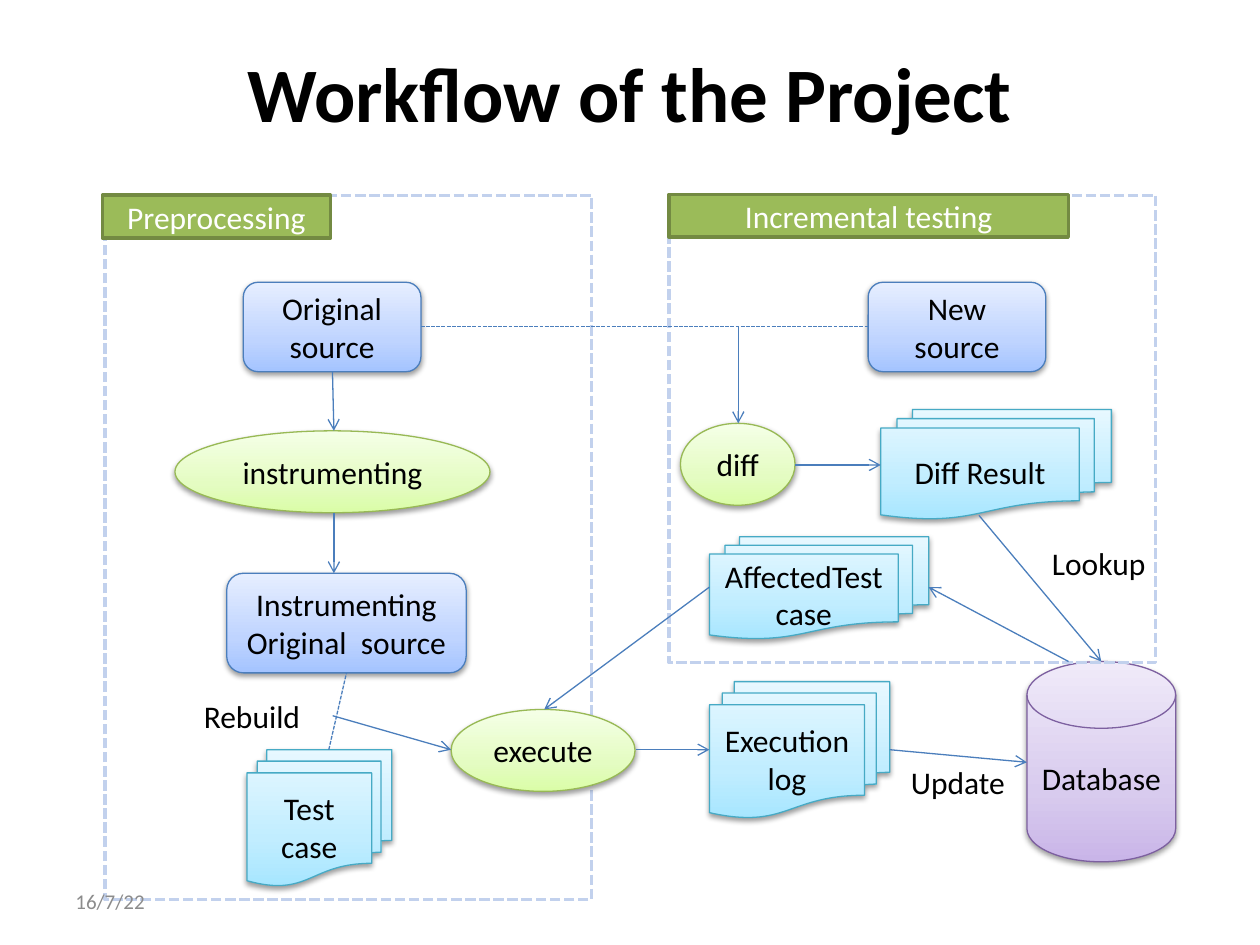
from copy import deepcopy

from lxml.etree import SubElement
from pptx import Presentation
from pptx.dml.color import RGBColor
from pptx.enum.dml import MSO_LINE
from pptx.enum.shapes import MSO_CONNECTOR, MSO_SHAPE
from pptx.enum.text import MSO_ANCHOR, PP_ALIGN
from pptx.oxml.ns import qn
from pptx.util import Pt

SOURCE = (MSO_SHAPE.ROUNDED_RECTANGLE, ("A4C4FF", "BFD4FF", "E6EEFF"), "4B7EBC")
STEP = (MSO_SHAPE.OVAL, ("DAFDA7", "E4FCC2", "F5FFE7"), "98B955")
DOCUMENTS = (MSO_SHAPE.FLOWCHART_MULTIDOCUMENT, ("A7E6FF", "C1EDFF", "E7F8FF"), "46AAC5")
STORE = (MSO_SHAPE.FLOWCHART_MAGNETIC_DISK, ("C9B5E8", "D8CBEE", "F0EAF9"), "7D60A0")
STOP_POSITIONS = (0, 0.35, 1)
CENTERED = {"word_wrap": True, "vertical_anchor": MSO_ANCHOR.MIDDLE}


def color(hex_string):
    """Turn a hex string into a colour."""
    return RGBColor.from_string(hex_string)


def apply(target, values):
    """Set every attribute in values on target."""
    for name, value in values.items():
        setattr(target, name, value)


def write(holder, wording, frame, size=18, ink="000000", align=PP_ALIGN.CENTER, bold=False):
    """Write wording into a shape, one paragraph per line."""
    holder.text_frame.text = wording
    apply(holder.text_frame, frame)
    for paragraph in holder.text_frame.paragraphs:
        paragraph.alignment = align
        apply(paragraph.font, {"name": "Calibri", "size": Pt(size), "bold": bold})
        paragraph.font.color.rgb = color(ink)


def outline(shape, ink, width, dash=None):
    """Set the line colour, width and dash of a shape or connector."""
    shape.line.color.rgb = color(ink)
    apply(shape.line, {"width": Pt(width), "dash_style": dash})


def place(slide, kind, origin, box):
    """Add a shadowless shape at a box relative to origin."""
    left, top, width, height = box
    shape = slide.shapes.add_shape(
        kind, Pt(origin[0] + left), Pt(origin[1] + top), Pt(width), Pt(height))
    shape.shadow.inherit = False
    return shape


def node(slide, style, wording, origin, box):
    """Add a workflow node with its gradient and soft shadow."""
    kind, stops, edge = style
    shape = place(slide, kind, origin, box)
    shape.fill.gradient()
    shape.fill.gradient_angle = 90
    stop_list = shape.element.spPr.find(qn("a:gradFill")).find(qn("a:gsLst"))
    stop_list.append(deepcopy(stop_list[-1]))
    for stop, position, ink in zip(shape.fill.gradient_stops, STOP_POSITIONS, stops):
        stop.position = position
        stop.color.rgb = color(ink)
    outline(shape, edge, 0.75)
    effects = shape.element.spPr.find(qn("a:effectLst"))
    shadow = SubElement(effects, qn("a:outerShdw"), blurRad="40000", dist="20000",
                        dir="5400000", rotWithShape="0")
    shade = SubElement(shadow, qn("a:srgbClr"), val="000000")
    SubElement(shade, qn("a:alpha"), val="38000")
    write(shape, wording, CENTERED)


def panel(slide, heading, origin, size, heading_box):
    """Add a dashed region outline."""
    frame = place(slide, MSO_SHAPE.RECTANGLE, origin, (0, 0, *size))
    frame.fill.background()
    outline(frame, "C2D1ED", 2, MSO_LINE.SQUARE_DOT)
    banner = place(slide, MSO_SHAPE.RECTANGLE, origin, heading_box)
    banner.fill.solid()
    banner.fill.fore_color.rgb = color("9BBB59")
    outline(banner, "738A42", 2)
    write(banner, heading, CENTERED, ink="FFFFFF")


def link(slide, origin, start, end, dashed=False):
    """Join two points with an arrow or a dashed line."""
    x, y = origin
    connector = slide.shapes.add_connector(
        MSO_CONNECTOR.STRAIGHT, Pt(x + start[0]), Pt(y + start[1]),
        Pt(x + end[0]), Pt(y + end[1]))
    outline(connector, "4B7EBC", 0.75, MSO_LINE.SQUARE_DOT if dashed else None)
    properties = connector.element.spPr
    if not dashed:
        SubElement(properties.find(qn("a:ln")), qn("a:tailEnd"), type="arrow")
    SubElement(properties, qn("a:effectLst"))


def caption(slide, wording, origin, box, wrap=False, **look):
    """Add a left-aligned text label."""
    left, top, width, height = box
    label = slide.shapes.add_textbox(
        Pt(origin[0] + left), Pt(origin[1] + top), Pt(width), Pt(height))
    frame = {"word_wrap": wrap, "vertical_anchor": MSO_ANCHOR.MIDDLE}
    write(label, wording, frame, align=PP_ALIGN.LEFT, **look)


def title(slide, left, top, width, height):
    """Fill and place the title placeholder."""
    heading = slide.shapes.title
    apply(heading, {"left": Pt(left), "top": Pt(top), "width": Pt(width), "height": Pt(height)})
    write(heading, "Workflow of the Project", CENTERED, size=44, bold=True)


def preprocessing(slide, left, top, width, height):
    """Draw the preprocessing region."""
    origin = (left, top)
    panel(slide, "Preprocessing", origin, (width, height), (-1.5, 0, 130.3, 24.5))
    for style, wording, box in (
        (SOURCE, "Original source", (79, 49.7, 101.5, 51.1)),
        (STEP, "instrumenting", (40, 134.6, 180, 46.8)),
        (DOCUMENTS, "Test case", (81.1, 316.8, 82.8, 77.8)),
        (SOURCE, "Instrumenting\nOriginal  source", (69.6, 216, 136.8, 56.9)),
    ):
        node(slide, style, wording, origin, box)
    link(slide, origin, (130, 100.8), (130.8, 134.6))
    link(slide, origin, (130.8, 181.4), (130.8, 216))
    link(slide, origin, (127.9, 316.8), (138, 272.9), dashed=True)
    caption(slide, "Rebuild", origin, (49.4, 283, 70.6, 28.8))


def execution(slide, left, top, width, height):
    """Draw the run from execution to the database."""
    origin = (left, top)
    middle = 50.4
    store_left = width - 85
    node(slide, STEP, "execute", origin, (0, 27.4, 105.1, 46.8))
    node(slide, STORE, "Database", origin, (store_left, 0, 85, height))
    node(slide, DOCUMENTS, "Execution\nlog", origin, (147.6, 11.5, 103, 77.8))
    link(slide, origin, (-67.7, 31), (0, middle))
    link(slide, origin, (105.8, middle), (147.6, middle))
    link(slide, origin, (250.6, middle), (store_left, 57.6))
    caption(slide, "Update", origin, (255.6, 54.7, 69.1, 28.8))


def incremental_testing(slide, left, top, width, height):
    """Draw the incremental testing region."""
    origin = (left, top)
    panel(slide, "Incremental testing", origin, (width, height), (0, -0.5, 228.2, 24.5))
    for style, wording, box in (
        (SOURCE, "New\nsource", (113.8, 49.7, 101.5, 51.1)),
        (STEP, "diff", (6.5, 130.3, 65.5, 46.8)),
        (DOCUMENTS, "Diff Result", (121, 122.4, 131.8, 62.6)),
        (DOCUMENTS, "AffectedTest case", (23.1, 195.1, 125.3, 58.3)),
    ):
        node(slide, style, wording, origin, box)
    link(slide, origin, (-141.8, 74.9), (113.8, 74.9), dashed=True)
    for start, end in (
        ((39.6, 74.9), (39.6, 130.3)),
        ((72, 154.1), (121, 154.1)),
        ((177.1, 182.9), (247, 266.4)),
        ((228.3, 266.4), (148.3, 223.9)),
        ((23.1, 223.9), (-71.3, 293.8)),
    ):
        link(slide, origin, start, end)
    caption(slide, "Lookup", origin, (211.7, 195.8, 126, 28.8), wrap=True)


def build():
    """Build and save the workflow slide."""
    deck = Presentation()
    apply(deck, {"slide_width": Pt(720), "slide_height": Pt(540)})
    slide = deck.slides.add_slide(deck.slide_layouts[5])
    title(slide, 36, 21.6, 648, 61.2)
    preprocessing(slide, 60, 111.6, 278, 402.5)
    execution(slide, 257.8, 378, 414, 114.5)
    incremental_testing(slide, 382.3, 111.6, 278, 267)
    caption(slide, "16/7/22", (36, 500.4), (0, 0, 168, 28.8), wrap=True, size=12, ink="8C8C8C")
    deck.save("out.pptx")


build()
